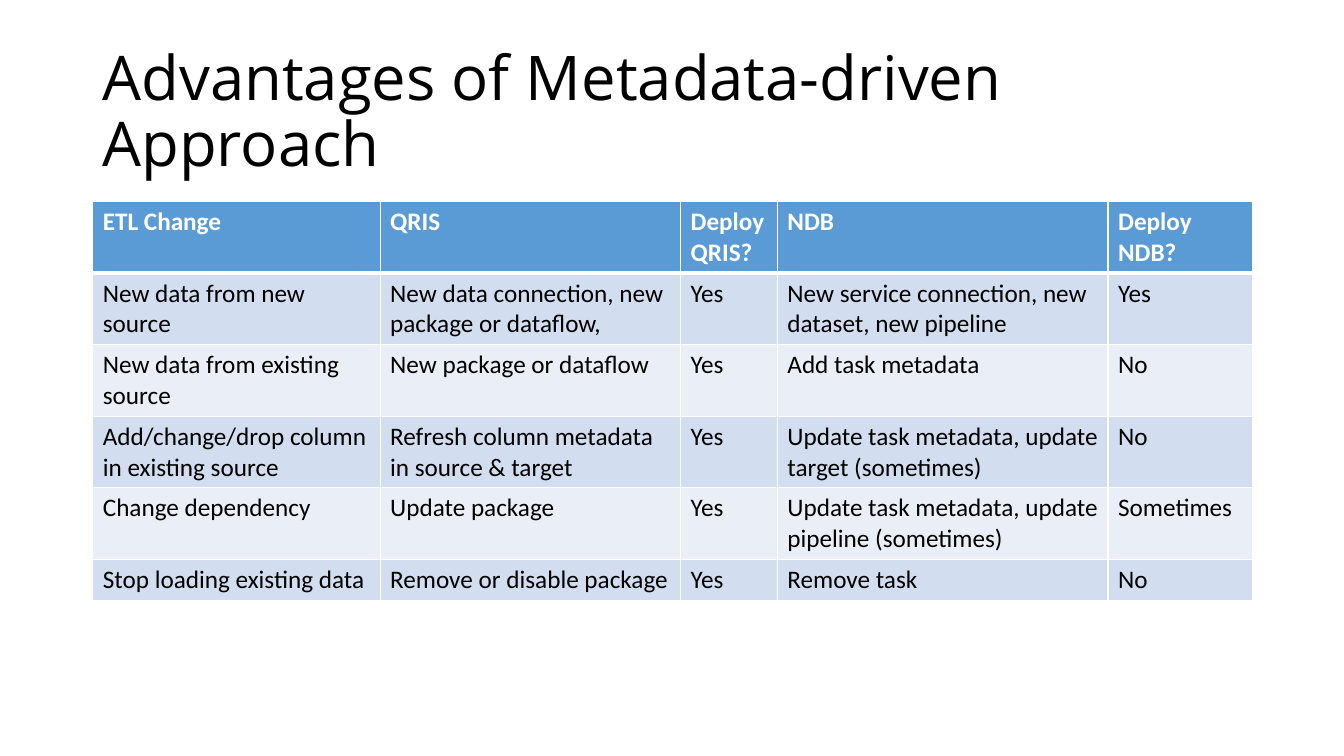
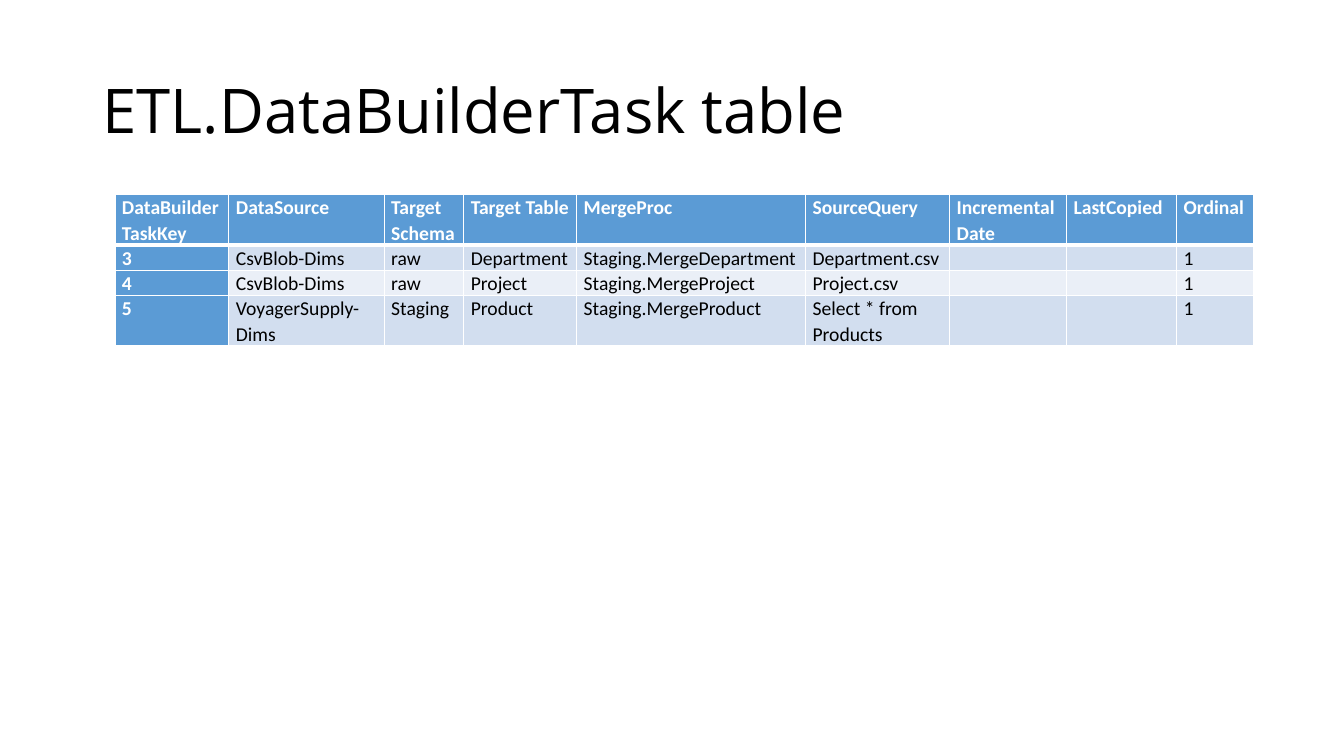
from lxml import etree
from pptx import Presentation
from pptx.dml import color
from pptx.enum import text
from pptx.oxml import ns
from pptx.util import Inches, Pt

TITLE_FONT = {"name": "Open Sans", "size": Pt(44)}
WHITE, BLACK, ACCENT = "FFFFFF", "000000", "5B9BD5"
BANDS = ("D2DEEF", "EAEFF7")

SLIDES = [
    {
        "title": "Advantages of Metadata-driven Approach",
        "left": 0.92, "top": 2, "size": 18, "key_column": False,
        "columns": (2.85, 2.98, 0.96, 3.28, 1.43),
        "heights": (0.71, 0.71, 0.71, 0.71, 0.71, 0.41),
        "margins": {}, "spacing": {},
        "rows": [
            ("ETL Change", "QRIS", "Deploy QRIS?", "NDB", "Deploy NDB?"),
            ("New data from new source", "New data connection, new package or dataflow,", "Yes",
             "New service connection, new dataset, new pipeline", "Yes"),
            ("New data from existing source", "New package or dataflow", "Yes",
             "Add task metadata", "No"),
            ("Add/change/drop column in existing source",
             "Refresh column metadata in source & target", "Yes",
             "Update task metadata, update target (sometimes)", "No"),
            ("Change dependency", "Update package", "Yes",
             "Update task metadata, update pipeline (sometimes)", "Sometimes"),
            ("Stop loading existing data", "Remove or disable package", "Yes",
             "Remove task", "No"),
        ],
    },
    {
        "title": "ETL.DataBuilderTask table",
        "left": 1.14, "top": 1.93, "size": 14, "key_column": True,
        "columns": (1.13, 1.54, 0.79, 1.12, 2.27, 1.43, 1.16, 1.09, 0.76),
        "heights": (0.5, 0.25, 0.25, 0.5),
        "margins": {"margin_left": Inches(0.07), "margin_right": Inches(0.07),
                    "margin_top": 0, "margin_bottom": 0},
        "spacing": {"line_spacing": 1.07, "space_after": Pt(8)},
        "rows": [
            ("DataBuilder TaskKey", "DataSource", "Target Schema", "Target Table", "MergeProc",
             "SourceQuery", "Incremental Date", "LastCopied", "Ordinal"),
            ("3", "CsvBlob-Dims", "raw", "Department", "Staging.MergeDepartment",
             "Department.csv", "", "", "1"),
            ("4", "CsvBlob-Dims", "raw", "Project", "Staging.MergeProject",
             "Project.csv", "", "", "1"),
            ("5", "VoyagerSupply-Dims", "Staging", "Product", "Staging.MergeProduct",
             "Select * from Products", "", "", "1"),
        ],
    },
]


def rgb(value):
    return color.RGBColor.from_string(value)


def apply(target, values):
    for name, value in values.items():
        setattr(target, name, value)


def add_span(para, words, font, ink):
    span = para.add_run()
    span.text = words
    apply(span.font, font)
    span.font.color.rgb = rgb(ink)


def add_title(page, words):
    box = page.shapes.add_textbox(Inches(0.92), Inches(0.4), Inches(11.5), Inches(1.45))
    apply(box.text_frame, {"word_wrap": True, "vertical_anchor": text.MSO_ANCHOR.MIDDLE})
    para = box.text_frame.paragraphs[0]
    para.line_spacing = 0.9
    add_span(para, words, TITLE_FONT, BLACK)


def set_borders(cell, widths):
    properties = cell._tc.get_or_add_tcPr()
    for position, (side, width) in enumerate(widths.items()):
        line = etree.Element(ns.qn(f"a:ln{side}"), w=str(Pt(width)))
        fill = etree.SubElement(line, ns.qn("a:solidFill"))
        etree.SubElement(fill, ns.qn("a:srgbClr"), val=WHITE)
        properties.insert(position, line)


def fill_cell(cell, words, row, column, design):
    heading = row == 0 or (design["key_column"] and column == 0)
    apply(cell, design["margins"])
    cell.fill.solid()
    cell.fill.fore_color.rgb = rgb(ACCENT if heading else BANDS[(row - 1) % 2])
    set_borders(cell, {"L": 1, "R": 1, "T": 3 if row == 1 else 1, "B": 3 if row == 0 else 1})
    para = cell.text_frame.paragraphs[0]
    apply(para, design["spacing"])
    if words:
        font = {"name": "Calibri", "size": Pt(design["size"]), "bold": heading}
        add_span(para, words, font, WHITE if heading else BLACK)
    else:
        para._p.get_or_add_endParaRPr().set("sz", str(design["size"] * 100))


def add_grid(page, design):
    rows, columns, heights = design["rows"], design["columns"], design["heights"]
    grid = page.shapes.add_table(
        len(rows), len(columns), Inches(design["left"]), Inches(design["top"]),
        Inches(sum(columns)), Inches(sum(heights))).table
    apply(grid, {"first_row": False, "horz_banding": False})
    for column, width in zip(grid.columns, columns):
        column.width = Inches(width)
    for line, height in zip(grid.rows, heights):
        line.height = Inches(height)
    for row, entries in enumerate(rows):
        for column, words in enumerate(entries):
            fill_cell(grid.cell(row, column), words, row, column, design)


def main():
    deck = Presentation()
    apply(deck, {"slide_width": Inches(13.33), "slide_height": Inches(7.5)})
    for design in SLIDES:
        page = deck.slides.add_slide(deck.slide_layouts[6])
        add_title(page, design["title"])
        add_grid(page, design)
    deck.save("out.pptx")


if __name__ == "__main__":
    main()
